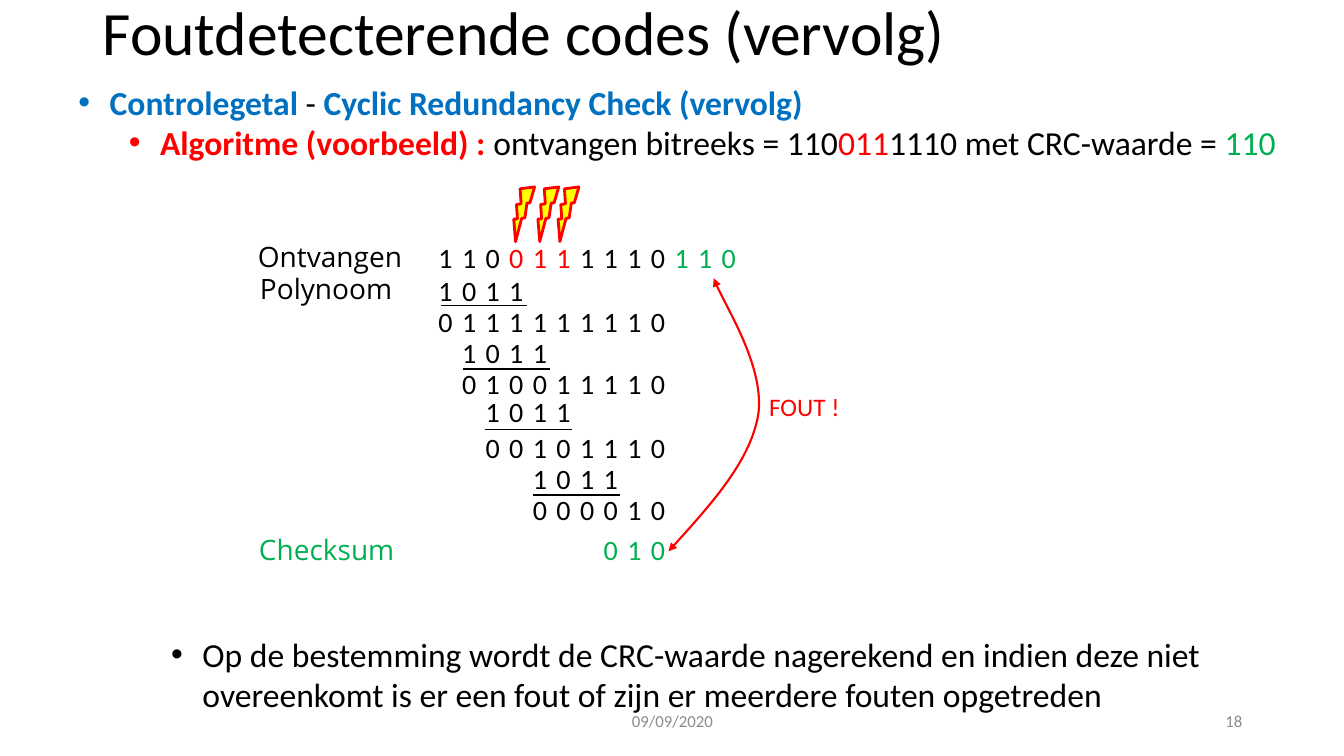
from lxml.etree import SubElement
from pptx import Presentation
from pptx.dml.color import RGBColor
from pptx.enum.shapes import MSO_CONNECTOR as Connector, MSO_SHAPE as Shape
from pptx.enum.text import MSO_ANCHOR as Anchor, MSO_AUTO_SIZE as AutoSize, PP_ALIGN as Align
from pptx.oxml.ns import qn
from pptx.util import Inches, Pt

COLORS = {"black": "000000", "red": "FF0000", "green": "00B050",
          "blue": "0070C0", "yellow": "FFFF00", "gray": "8B8B8B"}
FIRST_BIT, LAST_BIT, BIT_COUNT = 4.25, 7.06, 13
BIT_PITCH = (LAST_BIT - FIRST_BIT) / (BIT_COUNT - 1)


def rgb(name):
    """Return the named colour."""
    return RGBColor.from_string(COLORS[name])


def apply(target, values):
    """Set each attribute in values on target."""
    for attribute, value in values.items():
        setattr(target, attribute, value)


class CrcSlide:
    """The current slide with its text style."""

    def __init__(self, slide, font="Calibri", size=20):
        """Keep the slide and the default font."""
        self.shapes = slide.shapes
        self.font, self.size = font, size

    def text(self, box, paragraphs, size=None, font=None, frame=None, layout=None):
        """Add a text box; a paragraph is a list of (text, colour[, bold]) runs."""
        text_frame = self.shapes.add_textbox(*map(Inches, box)).text_frame
        apply(text_frame, {"word_wrap": True, **(frame or {})})
        for index, runs in enumerate(paragraphs):
            paragraph = text_frame.paragraphs[0] if index == 0 else text_frame.add_paragraph()
            apply(paragraph, layout or {})
            for words, color, *bold in runs:
                run = paragraph.add_run()
                run.text = words
                apply(run.font, {"name": font or self.font, "size": Pt(size or self.size),
                                 "bold": bool(bold)})
                run.font.color.rgb = rgb(color)
        return text_frame

    def label(self, box, words, color="black", **style):
        """Add a short text that does not wrap."""
        self.text(box, [[(words, color)]],
                  frame={"word_wrap": False, "auto_size": AutoSize.SHAPE_TO_FIT_TEXT}, **style)

    def bits(self, column, top, groups):
        """Add a row of single bits on the column grid."""
        row = [(bit, color) for digits, color in groups for bit in digits]
        for place, (bit, color) in enumerate(row, column):
            self.label((FIRST_BIT + place * BIT_PITCH, top, 0.34, 0.43), bit, color)

    def bullets(self, box, paragraphs, levels):
        """Add bulleted text; levels holds (level, left indent) per paragraph."""
        text_frame = self.text(box, paragraphs, size=24,
                               frame={"auto_size": AutoSize.SHAPE_TO_FIT_TEXT})
        for paragraph, runs, (level, indent) in zip(text_frame.paragraphs, paragraphs, levels):
            paragraph.level = level
            properties = paragraph._p.get_or_add_pPr()
            properties.set("marL", str(Inches(indent)))
            properties.set("indent", str(Inches(-0.31)))
            bullet_color = SubElement(properties, qn("a:buClr"))
            SubElement(bullet_color, qn("a:srgbClr"), val=COLORS[runs[0][1]])
            SubElement(properties, qn("a:buFont"), typeface="Arial")
            SubElement(properties, qn("a:buChar"), char="•")

    def rule(self, left, top, width):
        """Add a subtraction line."""
        line = self.shapes.add_connector(Connector.STRAIGHT, Inches(left), Inches(top),
                                         Inches(left + width), Inches(top))
        self.outline(line, "black", 1)
        SubElement(line._element.spPr, qn("a:effectLst"))

    def outline(self, shape, color, width):
        """Set the colour and width of a line."""
        shape.line.color.rgb = rgb(color)
        shape.line.width = Pt(width)

    def bolt(self, left, top):
        """Add a lightning bolt above a damaged bit."""
        bolt = self.shapes.add_shape(Shape.LIGHTNING_BOLT, Inches(left), Inches(top),
                                     Inches(0.27), Inches(0.55))
        bolt.rotation = 35.8
        bolt.shadow.inherit = False
        bolt.fill.solid()
        bolt.fill.fore_color.rgb = rgb("yellow")
        self.outline(bolt, "red", 2)

    def curve(self, start, *points, color):
        """Add a double arrow of cubic curves, three points to each curve."""
        scaled = [(Inches(x), Inches(y)) for x, y in points]
        builder = self.shapes.build_freeform(Inches(start[0]), Inches(start[1]))
        builder.add_line_segments(scaled, close=False)
        arrow = builder.convert_to_shape()
        arrow.shadow.inherit = False
        arrow.fill.background()
        self.outline(arrow, color, 1.5)
        for end in ("a:headEnd", "a:tailEnd"):
            SubElement(arrow.line._get_or_add_ln(), qn(end), type="triangle")
        outline_path = next(arrow._element.iter(qn("a:path")))
        segments = outline_path.findall(qn("a:lnTo"))
        for first in range(0, len(segments), 3):
            bezier = SubElement(outline_path, qn("a:cubicBezTo"))
            for segment in segments[first:first + 3]:
                bezier.append(segment[0])
                outline_path.remove(segment)


deck = Presentation()
apply(deck, {"slide_width": Inches(13.33), "slide_height": Inches(7.5)})
crc = CrcSlide(deck.slides.add_slide(deck.slide_layouts[6]))

division = [
    (0, 2.34, [("110", "black"), ("011", "red"), ("1110", "black"), ("110", "green")]),
    (0, 2.66, [("1011", "black")]),
    (0, 2.97, [("0111111110", "black")]),
    (1, 3.28, [("1011", "black")]),
    (1, 3.59, [("010011110", "black")]),
    (2, 3.86, [("1011", "black")]),
    (2, 4.22, [("00101110", "black")]),
    (4, 4.53, [("1011", "black")]),
    (4, 4.84, [("000010", "black")]),
    (7, 5.23, [("010", "green")]),
]
for column, top, groups in division:
    crc.bits(column, top, groups)
for left, top in [(4.37, 3.03), (4.59, 3.66), (4.81, 4.26), (5.29, 4.91)]:
    crc.rule(left, top, 0.86)

for box, words, color in [((2.46, 2.33, 1.74, 0.43), "Ontvangen", "black"),
                          ((2.48, 2.64, 1.55, 0.43), "Polynoom", "black"),
                          ((2.47, 5.23, 1.65, 0.43), "Checksum", "green")]:
    crc.label(box, words, color, font="Open Sans")

crc.curve((6.63, 5.47), (7.04, 5.02), (7.44, 4.57), (7.52, 4.12),
          (7.59, 3.66), (7.14, 2.95), (7.08, 2.76), color="red")
crc.label((7.53, 3.83, 0.9, 0.4), "FOUT !", "red", size=18)
for left in (5.27, 5.03, 5.47):
    crc.bolt(left, 1.82)

crc.text((0.92, -0.37, 11.5, 1.45), [[("Foutdetecterende codes (vervolg)", "black")]], size=44,
         frame={"vertical_anchor": Anchor.MIDDLE}, layout={"line_spacing": 0.9})
crc.bullets((0.68, 0.76, 12.43, 0.9), [
    [("Controlegetal", "blue", True), (" - ", "black"),
     ("Cyclic Redundancy Check (vervolg)", "blue", True)],
    [("Algoritme (voorbeeld) : ", "red", True), ("ontvangen bitreeks = 110", "black"),
     ("011", "red"), ("1110 met CRC-waarde = ", "black"), ("110", "green")],
], [(0, 0.31), (1, 0.81)])
crc.bullets((1.1, 6.24, 12.01, 0.9), [
    [("Op de bestemming wordt de CRC-waarde nagerekend en indien deze niet "
      "overeenkomt is er een fout of zijn er meerdere fouten opgetreden", "black")],
], [(1, 0.81)])

for left, width, words, align in [(9.42, 3, "18", Align.RIGHT),
                                  (4.42, 4.5, "09/09/2020", Align.CENTER)]:
    crc.text((left, 6.95, width, 0.4), [[(words, "gray")]], size=12,
             frame={"vertical_anchor": Anchor.MIDDLE}, layout={"alignment": align})

deck.save("out.pptx")
